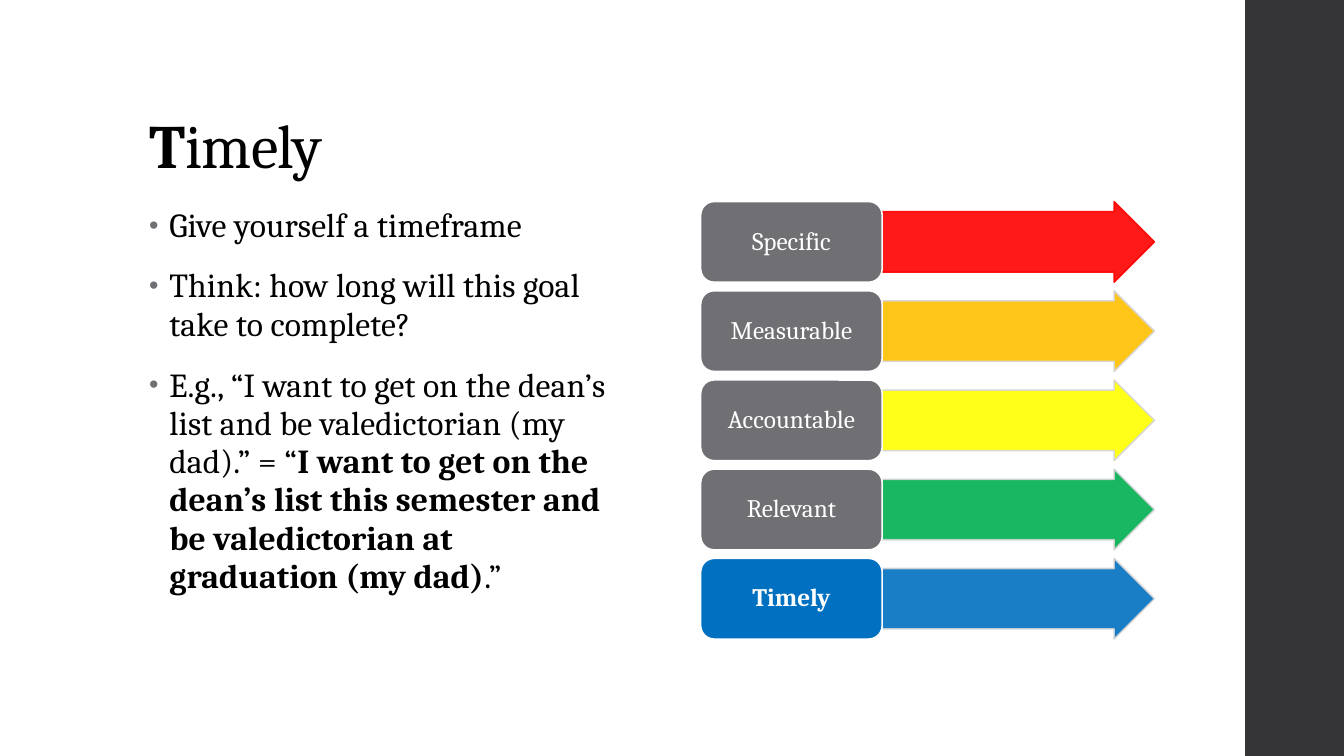
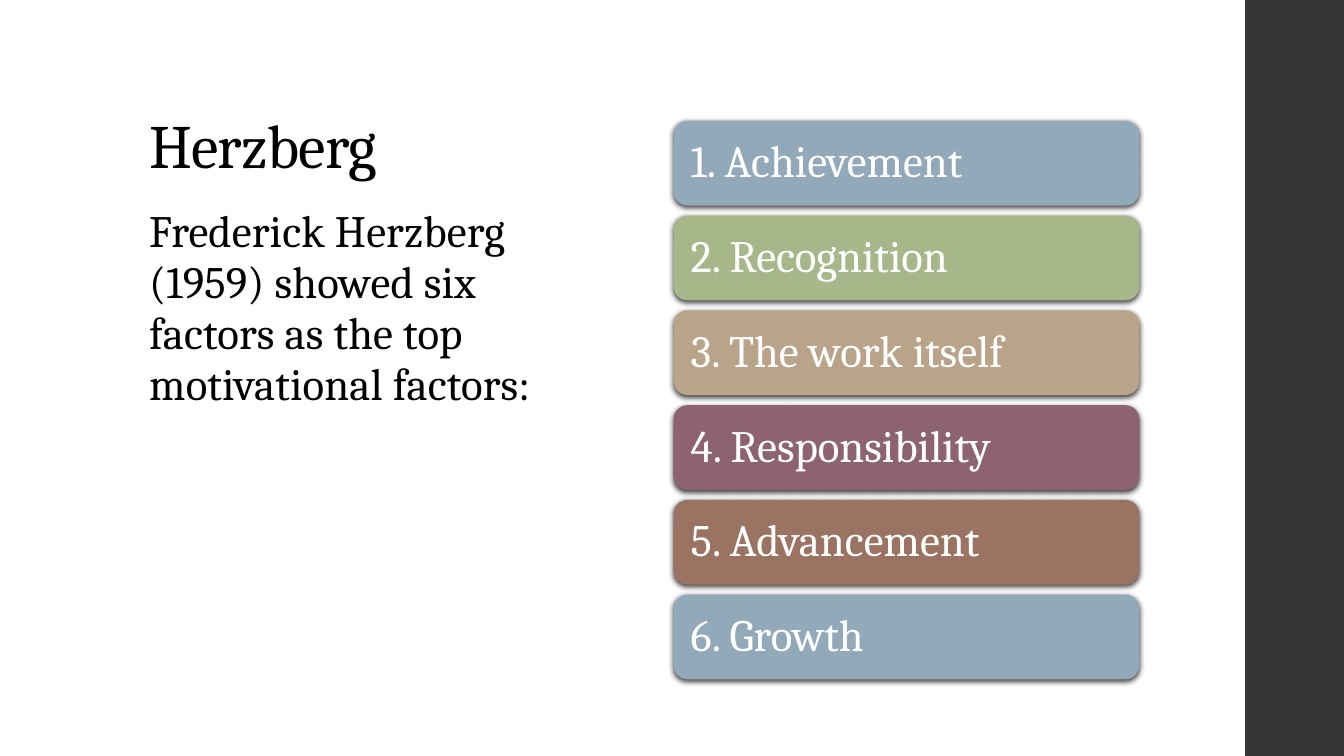
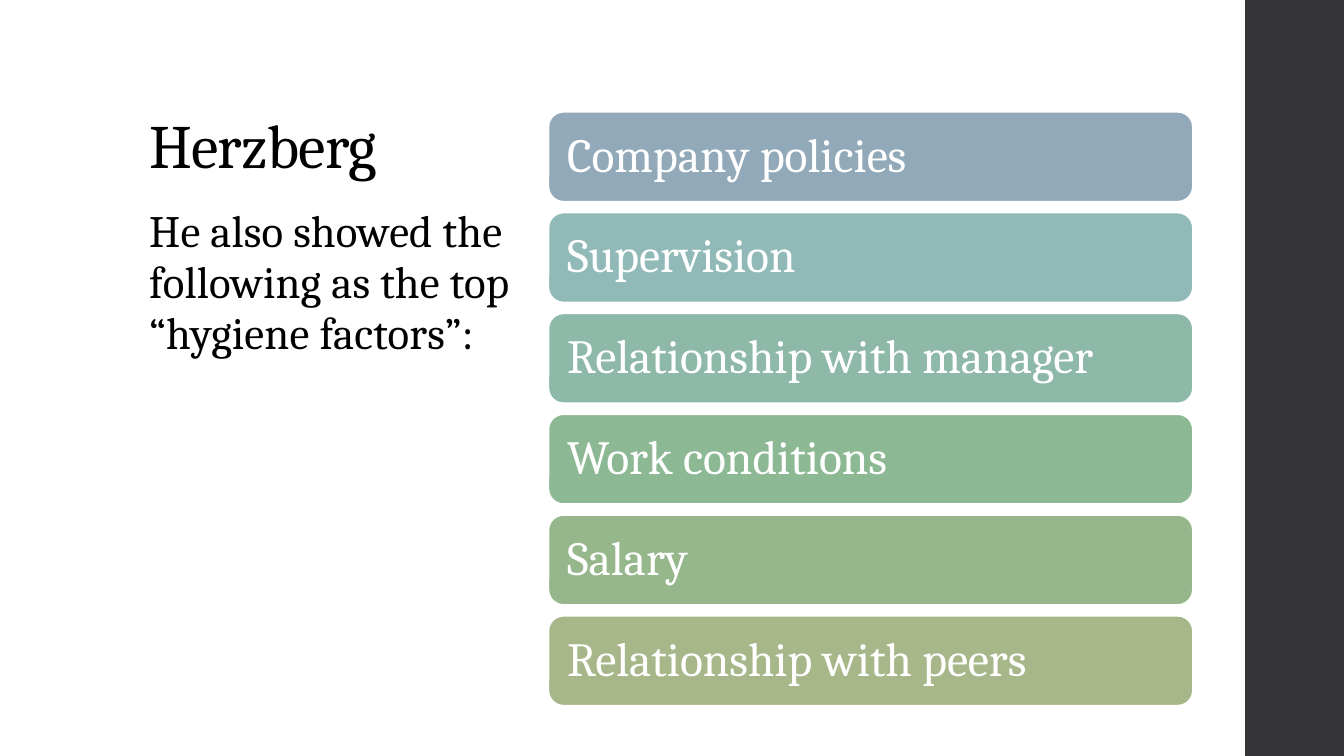
from lxml import etree
from pptx import Presentation
from pptx.dml.color import RGBColor
from pptx.enum.shapes import MSO_SHAPE
from pptx.enum.text import MSO_ANCHOR, MSO_AUTO_SIZE, PP_ALIGN
from pptx.oxml.ns import qn
from pptx.util import Inches, Pt

RECT, ROUNDED, ARROW = MSO_SHAPE.RECTANGLE, MSO_SHAPE.ROUNDED_RECTANGLE, MSO_SHAPE.RIGHT_ARROW
LEFT, CENTER = PP_ALIGN.LEFT, PP_ALIGN.CENTER
TOP, MIDDLE, BOTTOM = MSO_ANCHOR.TOP, MSO_ANCHOR.MIDDLE, MSO_ANCHOR.BOTTOM

FONT = "Cambria"
BLACK, WHITE, GRAY, DARK, PALE = "000000", "FFFFFF", "6F6F74", "353537", "D5D5D6"
RED, BLUE = "FF0000", "0070C0"
STEEL, SAGE = "92A9B9", "A7B789"
LINE_WIDTH = 1.1
OPACITY = 90
SIDE_BAND = (12.35, 0, 0.98, 7.5)

# Each paragraph is a list of (text, bold) spans.
TIMELY_TITLE = [("T", True), ("imely", False)]
TIMELY_POINTS = [
    [("Give yourself a timeframe", False)],
    [("Think: how long will this goal take to complete?", False)],
    [("E.g., “I want to get on the dean’s list and be valedictorian (my dad).” = “", False),
     ("I want to get on the dean’s list this semester and be valedictorian at "
      "graduation (my dad)", True),
     (".”", False)],
]
# Label, label fill, arrow fill, arrow line, bold
SMART_STEPS = [
    ("Specific", GRAY, RED, RED, False),
    ("Measurable", GRAY, "FFC000", PALE, False),
    ("Accountable", GRAY, "FFFF00", PALE, False),
    ("Relevant", GRAY, "00B050", PALE, False),
    ("Timely", BLUE, BLUE, PALE, True),
]
SMART_TOPS = (2, 5.54)

FACTOR_SLIDES = [
    {"intro": "Frederick Herzberg (1959) showed six factors as the top motivational factors:",
     "intro_size": (4.77, 4.76), "left": 6.68, "width": 4.62, "height": 0.84,
     "tops": (1.2, 5.9), "size": 32, "inset": 0.13, "line": None, "shadow": True,
     "factors": [("1. Achievement", STEEL), ("2. Recognition", SAGE),
                 ("3. The work itself", "B9A489"), ("4. Responsibility", "8D6374"),
                 ("5. Advancement", "9B7362"), ("6. Growth", STEEL)]},
    {"intro": "He also showed the following as the top “hygiene factors”:",
     "intro_size": (3.9, 5.02), "left": 5.44, "width": 6.39, "height": 0.89,
     "tops": (1.11, 6.11), "size": 34, "inset": 0.14, "line": WHITE, "shadow": False,
     "factors": [("Company policies", STEEL), ("Supervision", "90B9B8"),
                 ("Relationship with manager", "8EB8A7"), ("Work conditions", "8DB894"),
                 ("Salary", "95B78B"), ("Relationship with peers", SAGE)]},
]


def color(value):
    """Turn a hex string into a colour."""
    return RGBColor.from_string(value)


def apply(target, values):
    """Set several attributes on one object."""
    for name, value in values.items():
        setattr(target, name, value)


def add_xml(parent, tag, **attributes):
    """Append a DrawingML child element and return it."""
    values = {name: str(value) for name, value in attributes.items()}
    return etree.SubElement(parent, qn(tag), values)


def evenly(ends, count):
    """Give equally spaced positions from the first to the last."""
    first, last = ends
    return [first + (last - first) * index / (count - 1) for index in range(count)]


def place(shape, left, top, width, height):
    """Move and size a shape, in inches."""
    apply(shape, {"left": Inches(left), "top": Inches(top),
                  "width": Inches(width), "height": Inches(height)})


def write(para, spans, size, ink, tracking=0):
    """Add formatted spans to a paragraph."""
    for text, bold in spans:
        span = para.add_run()
        span.text = text
        apply(span.font, {"name": FONT, "size": Pt(size), "bold": bold})
        span.font.color.rgb = color(ink)
        if tracking:
            span.font._element.set("spc", str(tracking))


def add_shape(page, kind, frame, fill, line=None):
    """Draw a flat preset shape."""
    shape = page.shapes.add_shape(kind, *map(Inches, frame))
    shape.shadow.inherit = False
    shape.fill.solid()
    shape.fill.fore_color.rgb = color(fill)
    if line:
        shape.line.color.rgb = color(line)
        shape.line.width = Pt(LINE_WIDTH)
    else:
        shape.line.fill.background()
    return shape


def add_label(page, frame, text, fill, line, size, insets, align, bold=False):
    """Draw a rounded box holding one line of white text."""
    box = add_shape(page, ROUNDED, frame, fill, line)
    side, edge = map(Inches, insets)
    apply(box.text_frame, {"word_wrap": True, "vertical_anchor": MIDDLE,
                           "margin_left": side, "margin_right": side,
                           "margin_top": edge, "margin_bottom": edge})
    para = box.text_frame.paragraphs[0]
    apply(para, {"alignment": align, "line_spacing": 0.9})
    write(para, [(text, bold)], size, WHITE)
    return box


def make_translucent(shape):
    """Let the fill and line of a shape show through a little."""
    for tint in shape.element.spPr.iter(qn("a:srgbClr")):
        add_xml(tint, "a:alpha", val=OPACITY * 1000)


def add_shadow(shape):
    """Drop a soft shadow straight below a shape."""
    effects = shape.element.spPr.find(qn("a:effectLst"))
    shadow = add_xml(effects, "a:outerShdw", blurRad=Pt(4), dist=Pt(1.2),
                     dir=90 * 60000, algn="ctr", rotWithShape=0)
    tint = add_xml(shadow, "a:srgbClr", val=BLACK)
    add_xml(tint, "a:alpha", val=75000)


def set_bullet(para, shown):
    """Give a paragraph a small gray bullet, or none."""
    settings = para._p.get_or_add_pPr()
    indent = Inches(0.2) if shown else 0
    settings.set("marL", str(indent))
    settings.set("indent", str(-indent))
    if shown:
        add_xml(add_xml(settings, "a:buClr"), "a:srgbClr", val=GRAY)
        add_xml(settings, "a:buSzPct", val=80000)
        add_xml(settings, "a:buFont", typeface="Arial")
        add_xml(settings, "a:buChar", char="•")
    else:
        add_xml(settings, "a:buNone")


def add_page(deck, title, paragraphs, body_size, text_size, bullets):
    """Add a slide with its side band, title and body text."""
    page = deck.slides.add_slide(deck.slide_layouts[1])
    add_shape(page, RECT, SIDE_BAND, DARK)
    heading, body = page.shapes.title, page.placeholders[1]
    place(heading, 1.38, 0.4, 10.6, 1.45)
    place(body, 1.38, 2, *body_size)
    for box, anchor in ((heading, BOTTOM), (body, TOP)):
        apply(box.text_frame, {"word_wrap": True, "auto_size": MSO_AUTO_SIZE.NONE,
                               "vertical_anchor": anchor})
    para = heading.text_frame.paragraphs[0]
    apply(para, {"alignment": LEFT, "line_spacing": 0.9})
    write(para, title, 44, BLACK, -50)
    for index, spans in enumerate(paragraphs):
        para = body.text_frame.add_paragraph() if index else body.text_frame.paragraphs[0]
        apply(para, {"alignment": LEFT, "line_spacing": 0.95,
                     "space_before": Pt(14), "space_after": Pt(2)})
        set_bullet(para, bullets)
        write(para, spans, text_size, BLACK, 10)
    return page


def add_smart_page(deck):
    """Build the slide of goal criteria with their arrows."""
    page = add_page(deck, TIMELY_TITLE, TIMELY_POINTS, (4.9, 5.15), 24, True)
    tops = evenly(SMART_TOPS, len(SMART_STEPS))
    for top, (text, fill, arrow_fill, arrow_line, bold) in zip(tops, SMART_STEPS):
        arrow = add_shape(page, ARROW, (8.75, top, 2.7, 0.8), arrow_fill, arrow_line)
        arrow.adjustments[0] = 0.75
        make_translucent(arrow)
        add_label(page, (6.95, top, 1.8, 0.8), text, fill, WHITE, 18,
                  (0.07, 0.04), CENTER, bold)


def add_factor_page(deck, content):
    """Build a slide with a column of factors."""
    page = add_page(deck, [("Herzberg", False)], [[(content["intro"], False)]],
                    content["intro_size"], 32, False)
    tops = evenly(content["tops"], len(content["factors"]))
    for top, (text, fill) in zip(tops, content["factors"]):
        frame = (content["left"], top, content["width"], content["height"])
        box = add_label(page, frame, text, fill, content["line"], content["size"],
                        (content["inset"], content["inset"]), LEFT)
        if content["shadow"]:
            add_shadow(box)


def main():
    """Build and save the deck."""
    deck = Presentation()
    apply(deck, {"slide_width": Inches(13.33), "slide_height": Inches(7.5)})
    add_smart_page(deck)
    for content in FACTOR_SLIDES:
        add_factor_page(deck, content)
    deck.save("out.pptx")


main()
